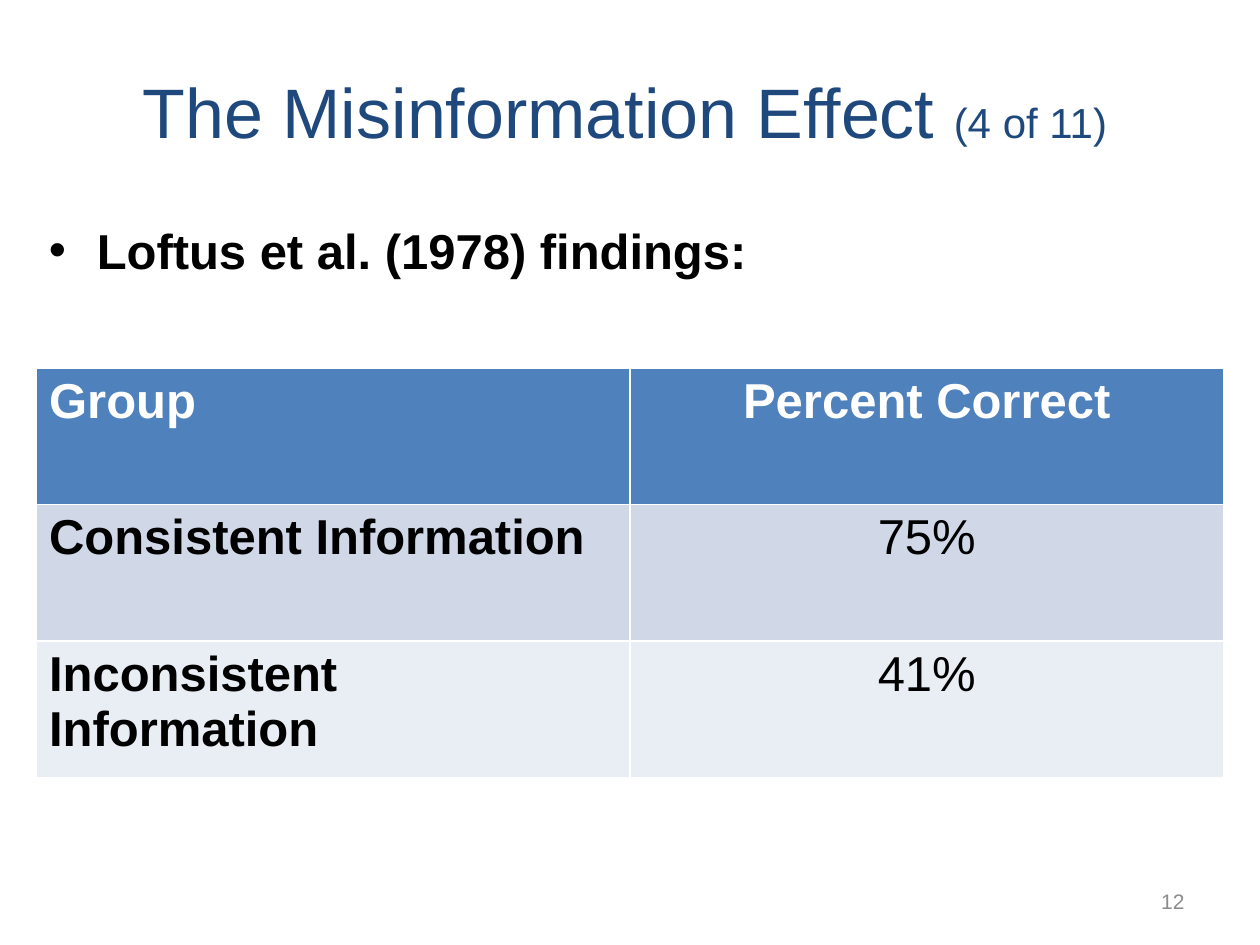
from dataclasses import dataclass

from lxml.etree import SubElement
from pptx import Presentation
from pptx.dml.color import RGBColor
from pptx.enum.text import MSO_ANCHOR, PP_ALIGN
from pptx.oxml.ns import qn
from pptx.slide import Slide
from pptx.text.text import Font, TextFrame
from pptx.util import Inches, Pt


@dataclass
class TableRow:
    group: str
    percent: str
    fill: str
    color: str = "000000"
    percent_bold: bool = False


TABLE_ROWS = [
    TableRow("Group", "Percent Correct", "4F81BD", "FFFFFF", True),
    TableRow("Consistent Information", "75%", "D0D8E8"),
    TableRow("Inconsistent Information", "41%", "E9EDF4"),
]


def rgb(color: str) -> RGBColor:
    return RGBColor.from_string(color)


def style_font(font: Font, size: float, color: str, bold: bool = False) -> None:
    font.name = "Arial"
    font.size = Pt(size)
    font.bold = bold
    font.color.rgb = rgb(color)


def add_text(slide: Slide, left: float, top: float, width: float, height: float,
             text: str, size: float, color: str, bold: bool = False,
             align: PP_ALIGN = PP_ALIGN.LEFT,
             anchor: MSO_ANCHOR = MSO_ANCHOR.MIDDLE) -> TextFrame:
    shape = slide.shapes.add_textbox(Inches(left), Inches(top), Inches(width), Inches(height))
    text_frame = shape.text_frame
    text_frame.word_wrap = True
    text_frame.vertical_anchor = anchor
    text_frame.text = text
    paragraph = text_frame.paragraphs[0]
    paragraph.alignment = align
    style_font(paragraph.runs[0].font, size, color, bold)
    return text_frame


def add_bullet(text_frame: TextFrame, indent: float) -> None:
    properties = text_frame.paragraphs[0]._p.get_or_add_pPr()
    properties.set("marL", str(Inches(indent)))
    properties.set("indent", str(-Inches(indent)))
    SubElement(properties, qn("a:buFont"), typeface="Arial")
    SubElement(properties, qn("a:buChar"), char="•")


def add_findings_table(slide: Slide, rows: list[TableRow]) -> None:
    table = slide.shapes.add_table(
        len(rows), 2, Inches(0.29), Inches(2.92), Inches(9.42), Inches(3.25)
    ).table
    for row_index, row in enumerate(rows):
        columns = [
            (row.group, True, PP_ALIGN.LEFT),
            (row.percent, row.percent_bold, PP_ALIGN.CENTER),
        ]
        for column_index, (text, bold, align) in enumerate(columns):
            cell = table.cell(row_index, column_index)
            cell.fill.solid()
            cell.fill.fore_color.rgb = rgb(row.fill)
            cell.text_frame.text = text
            paragraph = cell.text_frame.paragraphs[0]
            paragraph.alignment = align
            style_font(paragraph.runs[0].font, 28, row.color, bold)


def main() -> None:
    presentation = Presentation()
    presentation.slide_width = Inches(10)
    presentation.slide_height = Inches(7.5)
    slide = presentation.slides.add_slide(presentation.slide_layouts[6])

    title = add_text(slide, 0.46, 0.25, 9, 1.25, "The Misinformation Effect ",
                     40, "1F497D", align=PP_ALIGN.CENTER)
    counter = title.paragraphs[0].add_run()
    counter.text = "(4 of 11)"
    style_font(counter.font, 24, "1F497D")

    body = add_text(slide, 0.29, 1.67, 9.46, 5.42, "Loftus et al. (1978) findings:",
                    28, "000000", bold=True, anchor=MSO_ANCHOR.TOP)
    body.margin_top = Inches(0.08)
    add_bullet(body, 0.38)

    add_text(slide, 9, 6.95, 0.5, 0.4, "12", 12, "8C8C8C", align=PP_ALIGN.RIGHT)
    add_findings_table(slide, TABLE_ROWS)
    presentation.save("out.pptx")


if __name__ == "__main__":
    main()
